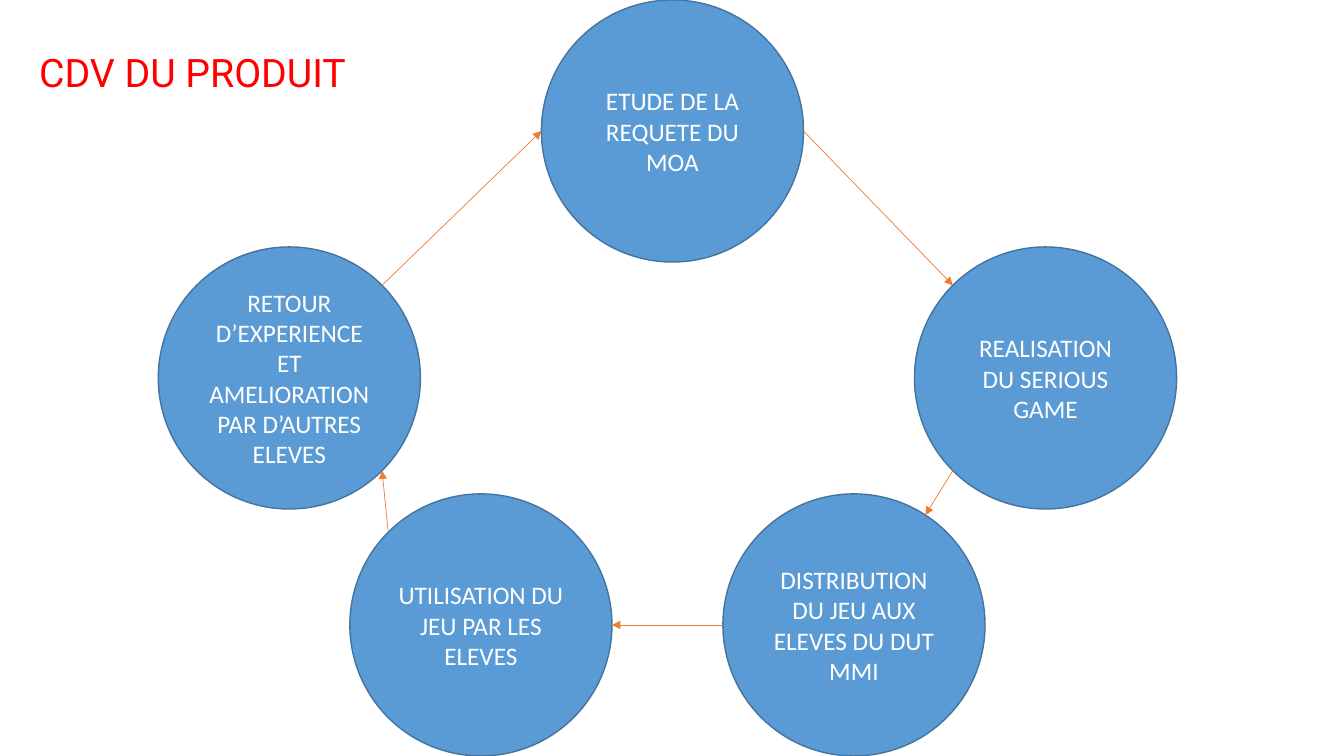
from dataclasses import dataclass
from math import cos, radians, sin

from lxml.etree import SubElement
from pptx import Presentation
from pptx.dml.color import RGBColor
from pptx.enum.shapes import MSO_CONNECTOR, MSO_SHAPE
from pptx.enum.text import MSO_ANCHOR, MSO_AUTO_SIZE, PP_ALIGN
from pptx.oxml.ns import qn
from pptx.slide import Slide
from pptx.text.text import TextFrame
from pptx.util import Inches, Pt

WIDTH, HEIGHT = 13.33, 7.5
DIAMETER = 2.6
COLUMNS = (1.57, 3.47, 5.37, 7.17, 9.07)
ROW_STEP = (HEIGHT - DIAMETER) / 2


@dataclass(frozen=True)
class Stage:
    """A circle of the cycle, with the angles where arrows arrive and leave."""
    column: int
    row: int
    arrive: float
    leave: float
    paragraphs: tuple[str, ...]

    @property
    def corner(self) -> tuple[float, float]:
        """Return the left and top of the circle."""
        return COLUMNS[self.column], self.row * ROW_STEP

    def rim(self, angle: float) -> tuple[float, float]:
        """Return the point on the circle at a clockwise angle from the right."""
        radius = DIAMETER / 2
        left, top = self.corner
        return (left + radius * (1 + cos(radians(angle))),
                top + radius * (1 + sin(radians(angle))))


STAGES = (
    Stage(2, 0, 180, 0, ("ETUDE DE LA REQUETE DU MOA",)),
    Stage(4, 1, 225, 135, ("REALISATION DU SERIOUS GAME",)),
    Stage(3, 2, 303, 180, ("DISTRIBUTION DU JEU AUX ELEVES DU DUT MMI",)),
    Stage(1, 2, 0, 225, ("UTILISATION DU JEU PAR LES ELEVES",)),
    Stage(0, 1, 45, 315, ("RETOUR D’EXPERIENCE ET AMELIORATION",
                          "PAR D’AUTRES", "ELEVES")),
)


def color(value: str) -> RGBColor:
    """Turn a hex string into a colour."""
    return RGBColor.from_string(value)


def write(tf: TextFrame, paragraphs: tuple[str, ...], font: str, size: float,
          ink: str, align: PP_ALIGN) -> None:
    """Fill a text frame with one run per paragraph."""
    tf.word_wrap = True
    for i, text in enumerate(paragraphs):
        p = tf.add_paragraph() if i else tf.paragraphs[0]
        p.alignment = align
        r = p.add_run()
        r.text = text
        r.font.name = font
        r.font.size = Pt(size)
        r.font.color.rgb = color(ink)


def add_stage(s: Slide, stage: Stage) -> None:
    """Draw one circle with its text."""
    left, top = stage.corner
    sp = s.shapes.add_shape(MSO_SHAPE.OVAL, Inches(left), Inches(top),
                            Inches(DIAMETER), Inches(DIAMETER))
    sp.shadow.inherit = False
    sp.fill.solid()
    sp.fill.fore_color.rgb = color("5B9BD5")
    sp.line.color.rgb = color("43739E")
    sp.line.width = Pt(1)
    sp.text_frame.vertical_anchor = MSO_ANCHOR.MIDDLE
    write(sp.text_frame, stage.paragraphs, "Calibri", 18, "FFFFFF", PP_ALIGN.CENTER)


def add_arrow(s: Slide, source: Stage, target: Stage) -> None:
    """Draw the arrow from one stage to the next."""
    ends = source.rim(source.leave) + target.rim(target.arrive)
    cxn = s.shapes.add_connector(MSO_CONNECTOR.STRAIGHT, *map(Inches, ends))
    cxn.line.color.rgb = color("ED7D31")
    cxn.line.width = Pt(0.5)
    SubElement(cxn.line._get_or_add_ln(), qn("a:tailEnd"), type="triangle")
    SubElement(cxn._element.spPr, qn("a:effectLst"))


def add_title(s: Slide, text: str) -> None:
    """Write the slide title."""
    sp = s.shapes.add_textbox(Inches(0.29), Inches(0.43), Inches(5.08), Inches(0.57))
    sp.text_frame.auto_size = MSO_AUTO_SIZE.SHAPE_TO_FIT_TEXT
    write(sp.text_frame, (text,), "Roboto", 28, "FF0000", PP_ALIGN.LEFT)


def main() -> None:
    """Build the slide and save it."""
    prs = Presentation()
    prs.slide_width, prs.slide_height = Inches(WIDTH), Inches(HEIGHT)
    s = prs.slides.add_slide(prs.slide_layouts[6])
    for stage in STAGES:
        add_stage(s, stage)
    for source, target in zip(STAGES, STAGES[1:] + STAGES[:1]):
        add_arrow(s, source, target)
    add_title(s, "CDV DU PRODUIT")
    prs.save("out.pptx")


if __name__ == "__main__":
    main()
